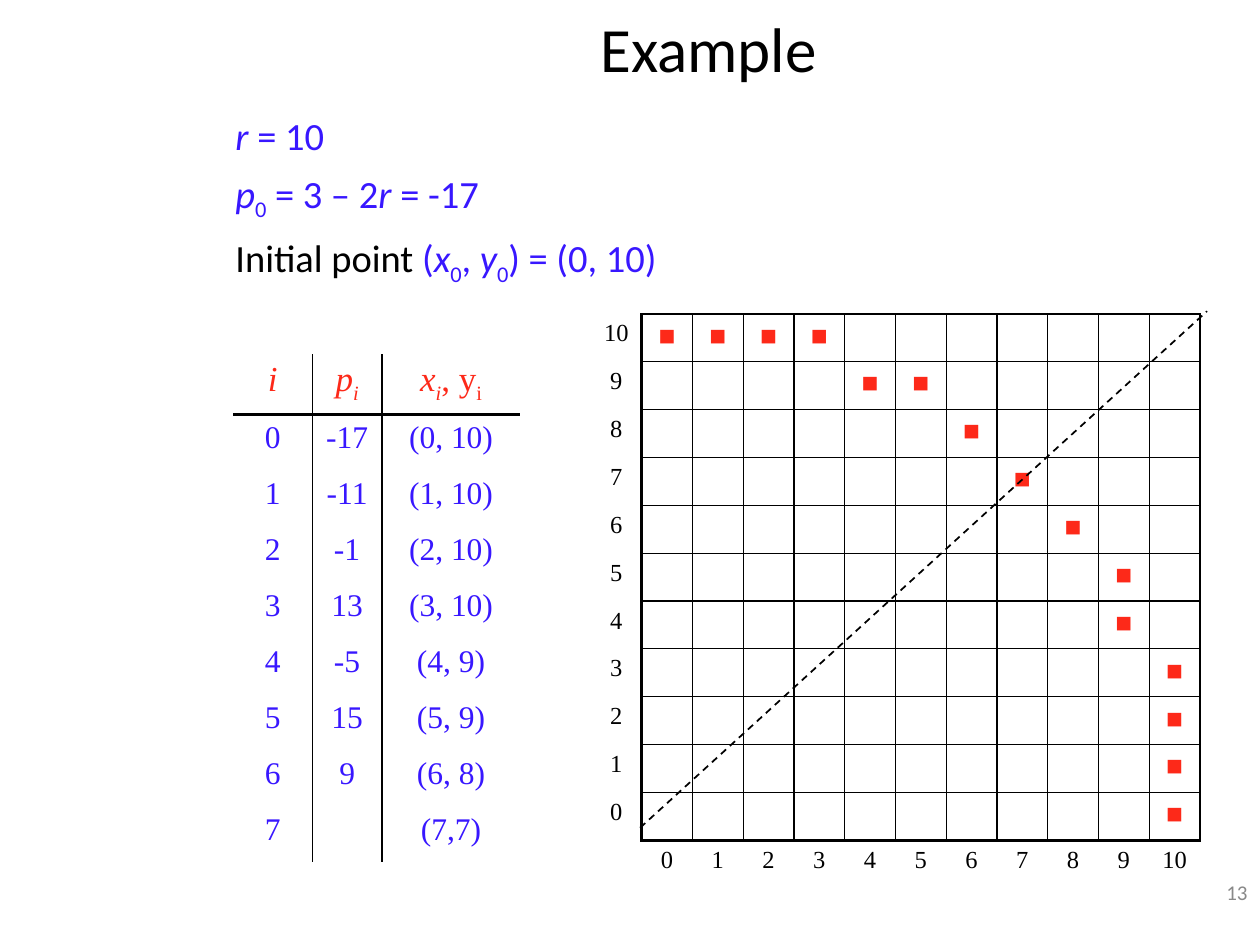
from lxml import etree
from pptx import Presentation
from pptx import util as u
from pptx.dml.color import RGBColor
from pptx.enum import dml, shapes, text
from pptx.oxml.ns import qn

UNIT = 0.1  # inches per step of the slide grid, 100 columns by 75 rows
COLUMNS, ROWS = 100, 75
SANS, SERIF = "Calibri", "Times New Roman"
BLACK, GREY, BLUE, RED = "000000", "898989", "3817FF", "FD2919"
NO_TABLE_STYLE = "{2D5ABB26-0587-4C30-8999-92F81FD0307C}"

RADIUS = 10
OCTANT = [(0, 10), (1, 10), (2, 10), (3, 10), (4, 9), (5, 9), (6, 8), (7, 7)]
STEPS = [
    ("0", "-17", "(0, 10)"), ("1", "-11", "(1, 10)"), ("2", "-1", "(2, 10)"),
    ("3", "13", "(3, 10)"), ("4", "-5", "(4, 9)"), ("5", "15", "(5, 9)"),
    ("6", "9", "(6, 8)"), ("7", "", "(7,7)"),
]
# Each run is (wording, marks): i for italic, _ for subscript, k for black
STEP_HEADER = [
    [("i", "i")],
    [("p", "i"), ("i", "i_")],
    [("x", "i"), ("i", "i_"), (", y", ""), ("i", "_")],
]
FORMULAS = [
    [("r ", "i"), ("= 10", "")],
    [("p", "i"), ("0", "_"), (" = 3 – 2", ""), ("r ", "i"), ("= -17", "")],
    [("Initial point ", "k"), ("(", ""), ("x", "i"), ("0", "_"), (", ", ""),
     ("y", "i"), ("0", "_"), (") = (0, 10)", "")],
]


def grid(steps):
    return u.Inches(steps * UNIT)


def rgb(value):
    return RGBColor.from_string(value)


def fill_paragraph(paragraph, runs, size, color, font, align):
    paragraph.alignment = align
    for wording, marks in runs:
        run = paragraph.add_run()
        run.text = wording
        run.font.name, run.font.size = font, u.Pt(size)
        run.font.italic = "i" in marks
        run.font.color.rgb = rgb(BLACK if "k" in marks else color)
        if "_" in marks:
            run.font._element.set("baseline", "-25000")


def add_text(slide, box, paragraphs, size, color, align, anchor):
    frame = slide.shapes.add_textbox(*map(grid, box)).text_frame
    frame.word_wrap = True
    frame.vertical_anchor = anchor
    for index, runs in enumerate(paragraphs):
        paragraph = frame.add_paragraph() if index else frame.paragraphs[0]
        fill_paragraph(paragraph, runs, size, color, SANS, align)
        if index:
            paragraph.space_before = u.Pt(6.6)


def add_plain_table(slide, left, top, widths, heights):
    """Add a table without banding or style; sizes are in grid steps."""
    box = map(grid, (left, top, sum(widths), sum(heights)))
    table = slide.shapes.add_table(len(heights), len(widths), *box).table
    table.first_row = table.horz_banding = False
    table._tbl.tblPr.find(qn("a:tableStyleId")).text = NO_TABLE_STYLE
    for column, width in zip(table.columns, widths):
        column.width = grid(width)
    for row, height in zip(table.rows, heights):
        row.height = grid(height)
    return table


def set_cell(cell, runs, size, color, borders):
    """Write a cell; borders maps the sides L, R, T and B to line widths."""
    properties = cell._tc.get_or_add_tcPr()
    for side in "LRTB":
        width = borders.get(side, 0)
        line = etree.SubElement(properties, qn(f"a:ln{side}"), w=str(u.Pt(width)))
        if width:
            fill = etree.SubElement(line, qn("a:solidFill"))
            etree.SubElement(fill, qn("a:srgbClr"), val=BLACK)
        else:
            etree.SubElement(line, qn("a:noFill"))
    cell.fill.background()
    paragraph = cell.text_frame.paragraphs[0]
    fill_paragraph(paragraph, runs, size, color, SERIF, text.PP_ALIGN.CENTER)
    if not runs:
        etree.SubElement(paragraph._p, qn("a:endParaRPr"), sz=str(size * 100))


def add_pixel_grid(slide, left, top, column, row):
    """Plot the octant and its mirror image, with axis labels."""
    count = RADIUS + 1
    pixels = set(OCTANT) | {(y, x) for x, y in OCTANT}
    table = add_plain_table(slide, left, top,
                            [column] * (count + 1), [row] * (count + 1))
    for r in range(count + 1):
        for c in range(count + 1):
            x, y = c - 1, RADIUS - r
            size, color, wording = 14, BLACK, ""
            if x < 0 and y < 0:
                borders = {}
            elif x < 0:
                wording, borders = str(y), {"R": 2.25}
            elif y < 0:
                wording, borders = str(x), {"T": 2.25}
            else:
                borders = {"L": 0.75 if x else 2.25,
                           "R": 1 if x == RADIUS else 0.75,
                           "T": 1 if y == RADIUS else 0.75,
                           "B": 0.75 if y else 2.25}
                if (x, y) in pixels:
                    size, color, wording = 16, RED, "■"
            runs = [(wording, "")] if wording else []
            set_cell(table.cell(r, c), runs, size, color, borders)


def add_step_table(slide, left, top, widths, row):
    table = add_plain_table(slide, left, top, widths, [row] * (len(STEPS) + 1))
    body = [[[(value, "")] if value else [] for value in step] for step in STEPS]
    for r, cells in enumerate([STEP_HEADER] + body):
        size, color = (18, BLUE) if r else (20, RED)
        for c, runs in enumerate(cells):
            borders = {"L": 1 if c else 0,
                       "R": 1 if c < len(widths) - 1 else 0,
                       "T": 2.25 if r == 1 else 0,
                       "B": 0 if r else 2.25}
            set_cell(table.cell(r, c), runs, size, color, borders)


def add_dashed_line(slide, start, end):
    line = slide.shapes.add_connector(shapes.MSO_CONNECTOR.STRAIGHT,
                                      *map(grid, start + end))
    line.line.color.rgb = rgb(BLACK)
    line.line.width = u.Pt(1)
    line.line.dash_style = dml.MSO_LINE.DASH
    etree.SubElement(line._element.spPr, qn("a:effectLst"))


def main():
    presentation = Presentation()
    presentation.slide_width, presentation.slide_height = grid(COLUMNS), grid(ROWS)
    slide = presentation.slides.add_slide(presentation.slide_layouts[6])
    align, anchor = text.PP_ALIGN, text.MSO_ANCHOR
    add_text(slide, (79.2, 68.3, 20.8, 5), [[("13", "")]], 12, GREY,
             align.RIGHT, anchor.MIDDLE)
    add_text(slide, (15, 0.5, 82.5, 6.5), [[("Example", "")]], 36, BLACK,
             align.CENTER, anchor.MIDDLE)
    add_pixel_grid(slide, 46.9, 24.9, column=4.03, row=3.8)
    add_step_table(slide, 18.5, 28.1, widths=(6.3, 5.5, 11), row=4.44)
    add_text(slide, (17.7, 8.4, 77.8, 14.2), FORMULAS, 22, BLUE,
             align.LEFT, anchor.TOP)
    add_dashed_line(slide, (50.8, 65.7), (95.8, 24.7))
    presentation.save("out.pptx")


if __name__ == "__main__":
    main()
